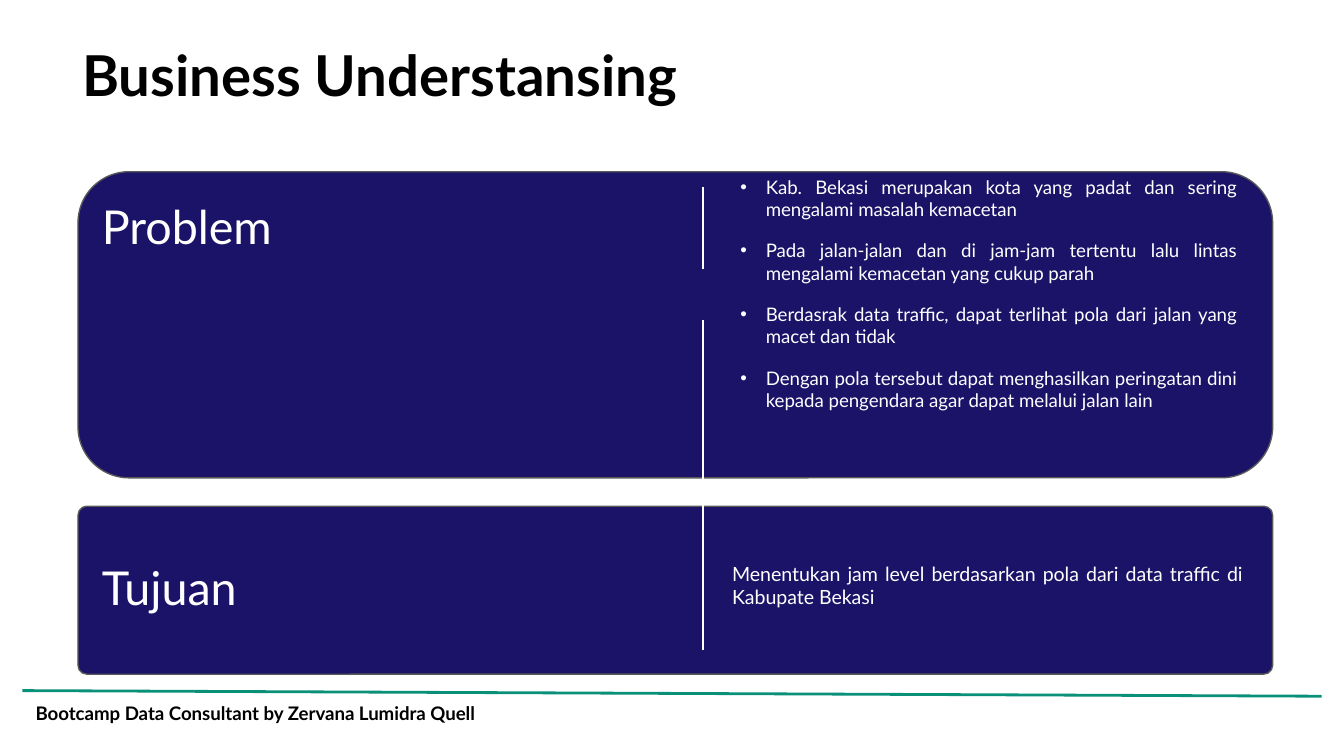
from lxml.etree import SubElement
from pptx import Presentation
from pptx.dml.color import RGBColor
from pptx.enum.shapes import MSO_CONNECTOR, MSO_SHAPE
from pptx.enum.text import MSO_ANCHOR, PP_ALIGN
from pptx.oxml.ns import qn
from pptx.util import Pt

NAVY = RGBColor(0x1B, 0x13, 0x68)
GREY = RGBColor(0x59, 0x59, 0x59)
GREEN = RGBColor(0x0A, 0x90, 0x79)
BLACK = RGBColor(0, 0, 0)
WHITE = RGBColor(0xFF, 0xFF, 0xFF)

FONT = "Lato"
INSET = 7.2
PANEL_LEFT, PANEL_WIDTH = 41.8, 640
LABEL_LEFT = 47.5
DIVIDER_X = 376.6

PROBLEMS = [
    "Kab. Bekasi merupakan kota yang padat dan sering mengalami masalah kemacetan",
    "Pada jalan-jalan dan di jam-jam tertentu lalu lintas mengalami kemacetan yang cukup parah",
    "Berdasrak data traffic, dapat terlihat pola dari jalan yang macet dan tidak",
    "Dengan pola tersebut dapat menghasilkan peringatan dini kepada pengendara "
    "agar dapat melalui jalan lain",
]
GOAL = "Menentukan jam level berdasarkan pola dari data traffic di Kabupate Bekasi"


def add_text(slide, box, text, size, color=WHITE, bold=False, align=PP_ALIGN.LEFT):
    """Add a text box with one paragraph per line of text."""
    frame = slide.shapes.add_textbox(*map(Pt, box)).text_frame
    frame.word_wrap = True
    frame.vertical_anchor = MSO_ANCHOR.TOP
    frame.margin_left = frame.margin_right = Pt(INSET)
    frame.margin_top = frame.margin_bottom = Pt(INSET)
    frame.text = text
    for paragraph in frame.paragraphs:
        paragraph.alignment = align
        for run in paragraph.runs:
            run.font.name = FONT
            run.font.size = Pt(size)
            run.font.bold = bold
            run.font.color.rgb = color
    return frame


def add_bullets(frame, indent, hanging, space_before):
    for paragraph in frame.paragraphs:
        paragraph.space_before = Pt(space_before)
        properties = paragraph._p.get_or_add_pPr()
        properties.set("marL", str(Pt(indent)))
        properties.set("indent", str(-Pt(hanging)))
        bullet_color = SubElement(properties, qn("a:buClr"))
        SubElement(bullet_color, qn("a:srgbClr"), val=str(WHITE))
        SubElement(properties, qn("a:buFont"), typeface="Arial")
        SubElement(properties, qn("a:buChar"), char="•")


def add_panel(slide, top, height, rounding):
    panel = slide.shapes.add_shape(
        MSO_SHAPE.ROUNDED_RECTANGLE, Pt(PANEL_LEFT), Pt(top), Pt(PANEL_WIDTH), Pt(height)
    )
    panel.adjustments[0] = rounding
    panel.shadow.inherit = False
    panel.fill.solid()
    panel.fill.fore_color.rgb = NAVY
    panel.line.color.rgb = GREY
    panel.line.width = Pt(0.75)


def add_line(slide, start, end, color):
    line = slide.shapes.add_connector(MSO_CONNECTOR.STRAIGHT, *map(Pt, start + end))
    line.line.color.rgb = color
    line.line.width = Pt(1.5)
    SubElement(line._element.spPr, qn("a:effectLst"))


def main():
    presentation = Presentation()
    presentation.slide_width, presentation.slide_height = Pt(720), Pt(405)
    slide = presentation.slides.add_slide(presentation.slide_layouts[6])

    # Footer
    add_line(slide, (12, 370), (708, 373), GREEN)
    add_text(slide, (12, 370, 290, 26.6),
             "Bootcamp Data Consultant by Zervana Lumidra Quell", 10, BLACK, bold=True)

    # Title
    add_text(slide, (37, 14.4, 479, 45.4), "Business Understansing", 30.2, BLACK, bold=True)

    # Problem panel
    add_panel(slide, 92, 164, 0.167)
    add_text(slide, (LABEL_LEFT, 98.6, 130, 44.6), "Problem", 25)
    add_line(slide, (DIVIDER_X, 100), (DIVIDER_X, 144), WHITE)

    # Goal panel, whose divider reaches up into the problem panel
    add_panel(slide, 271.2, 90, 0.053)
    add_text(slide, (LABEL_LEFT, 292.3, 96.5, 44.6), "Tujuan", 25)
    add_line(slide, (DIVIDER_X, 171.4), (DIVIDER_X, 348.5), WHITE)

    # Descriptions
    problems = add_text(slide, (DIVIDER_X, 87, 293, 164), "\n".join(PROBLEMS), 10,
                        align=PP_ALIGN.JUSTIFY)
    add_bullets(problems, indent=26.6, hanging=13.7, space_before=10)
    add_text(slide, (385.2, 293.8, 288, 40.3), GOAL, 10.5, align=PP_ALIGN.JUSTIFY)

    presentation.save("out.pptx")


if __name__ == "__main__":
    main()
